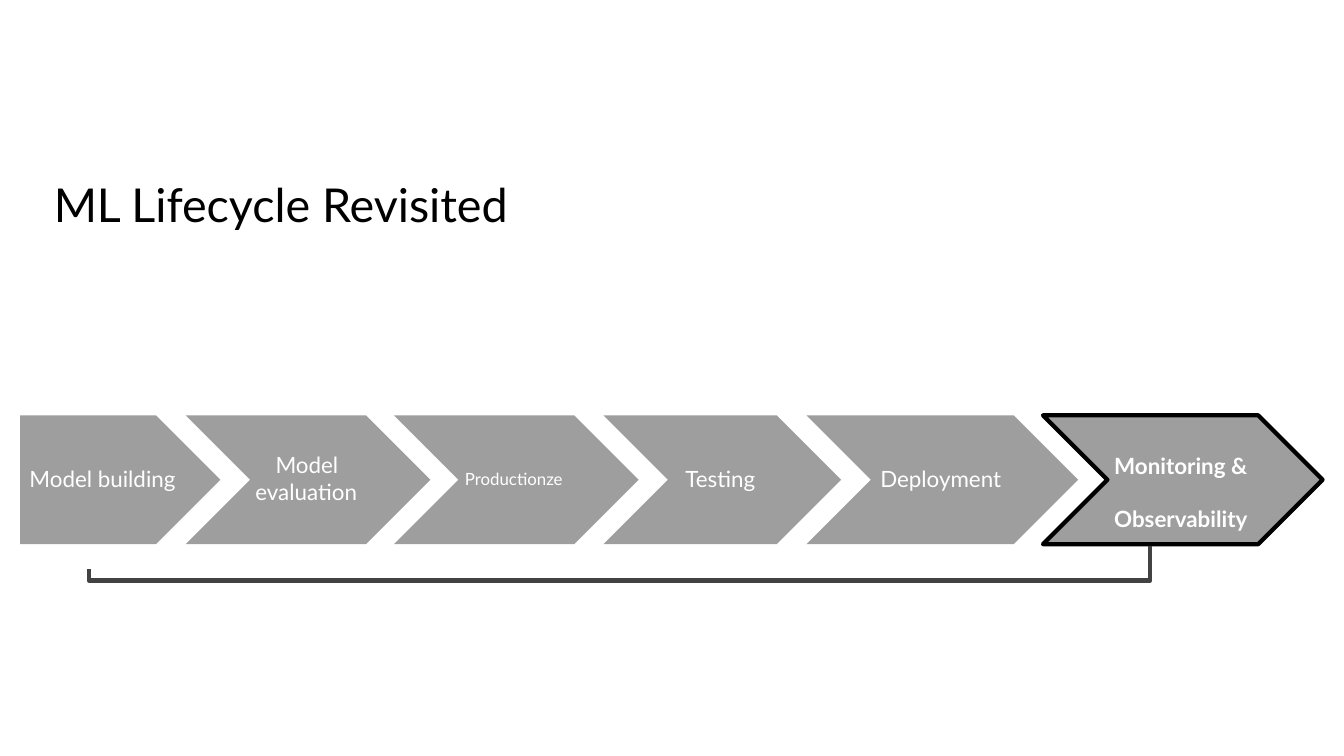
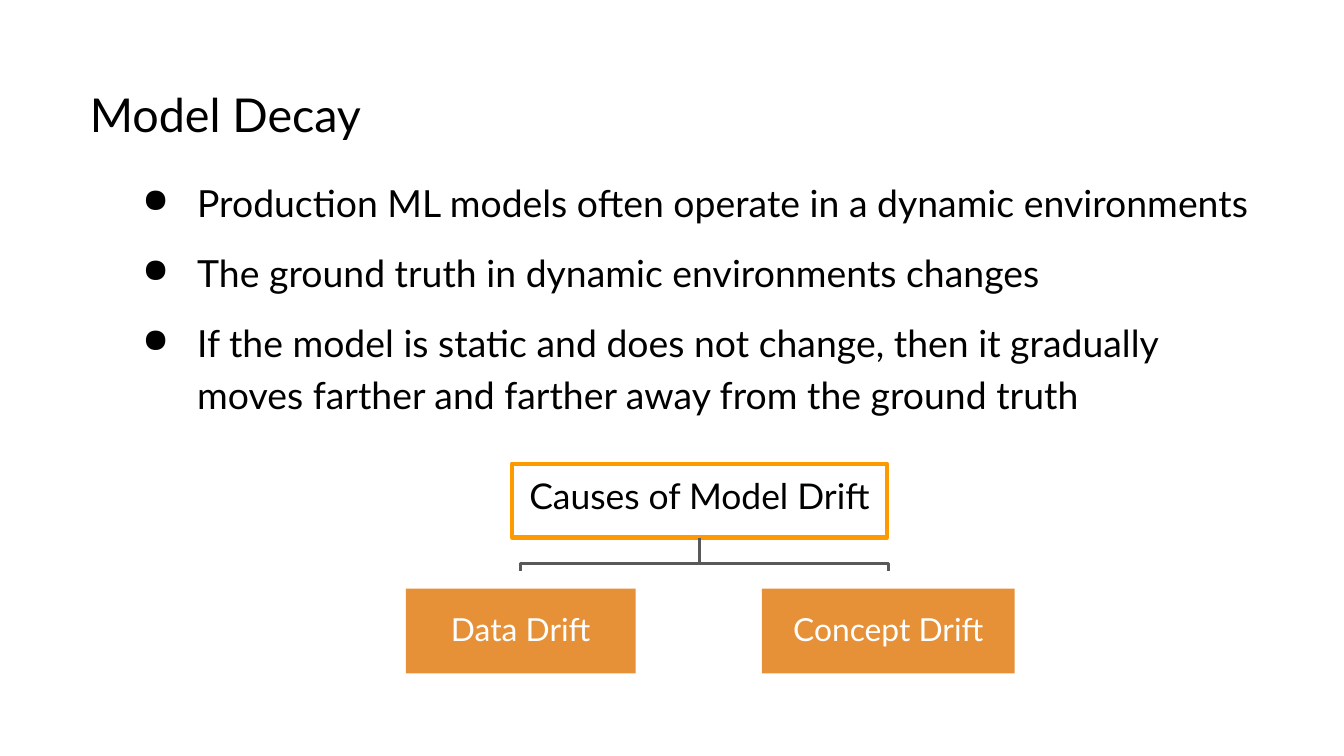
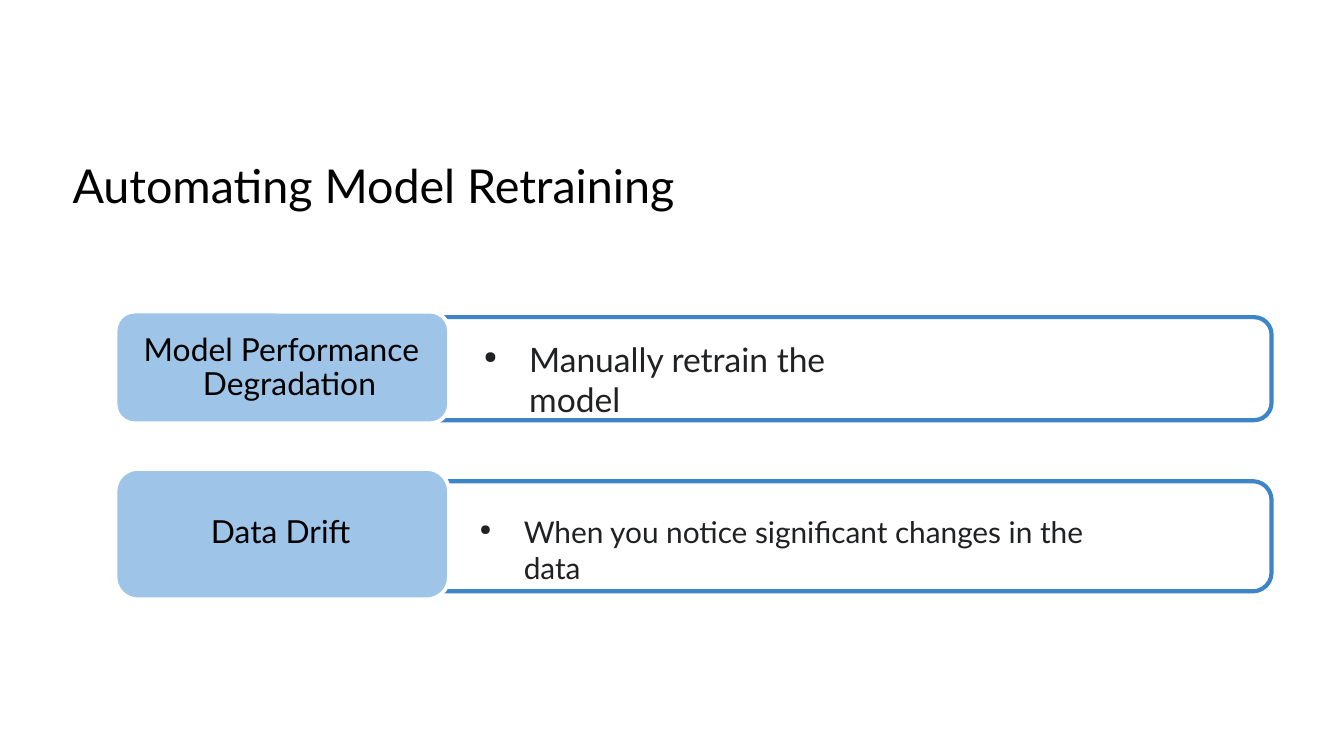
from dataclasses import dataclass

from lxml import etree
from pptx import Presentation
from pptx.dml.color import RGBColor
from pptx.enum.shapes import MSO_SHAPE
from pptx.enum.text import MSO_ANCHOR, PP_ALIGN
from pptx.oxml.ns import qn
from pptx.util import Pt

CHEVRON, PENTAGON = MSO_SHAPE.CHEVRON, MSO_SHAPE.PENTAGON
RECTANGLE, ROUNDED = MSO_SHAPE.RECTANGLE, MSO_SHAPE.ROUNDED_RECTANGLE
TOP, CENTER = MSO_ANCHOR.TOP, PP_ALIGN.CENTER


@dataclass(frozen=True)
class Theme:
    font: str = "Lato"
    black: str = "000000"
    white: str = "FFFFFF"
    ink: str = "1F2123"
    step: str = "9E9E9E"
    loop: str = "424242"
    branch: str = "595959"
    cause_edge: str = "FF9900"
    cause: str = "E69138"
    trigger: str = "9EC4E8"
    panel_edge: str = "3D85C6"
    title_size: float = 25
    body_size: float = 20
    root_size: float = 19
    label_size: float = 17
    step_size: float = 12
    small_size: float = 9
    edge: float = 2.25
    thin_edge: float = 1.5
    corner: float = 0.17


THEME = Theme()

# Boxes are (left, top, width, height) in points.
LIFECYCLE_TITLE = ("ML Lifecycle Revisited", (28.8, 92.9, 250, 32.4))
STEP_TOP, STEP_HEIGHT = 222.5, 69.1
STEPS = [  # shape, left, width, label, label box, label size
    (CHEVRON, 99.4, 131.2, ["Model evaluation"], (136.1, 241.2, 57, 31), THEME.step_size),
    (CHEVRON, 211, 131.2, ["Productionze"], (249.1, 250.6, 56, 13), THEME.small_size),
    (CHEVRON, 323.3, 127.4, ["Testing"], (367.2, 248.4, 41, 16.6), THEME.step_size),
    (PENTAGON, 10.8, 107.3, ["Model building"], (15.8, 248.4, 83, 16.6), THEME.step_size),
    (CHEVRON, 432, 145.5, ["Deployment"], (471.6, 248.4, 69, 16.6), THEME.step_size),
    (CHEVRON, 558.7, 149.8, ["Monitoring &", "Observability"], (596.9, 241.9, 78, 31),
     THEME.step_size),
]
STEP_LEADING = 14.2
FEEDBACK_LOOP = [(616.3, 292.3), (616.3, 311), (47.5, 311), (47.5, 304.6)]

DECAY_TITLE = ("Model Decay", (48.2, 44.6, 150, 32.4))
DECAY_BOX = (76.3, 82.1, 600, 142.6)
DECAY_POINTS = [  # text, space before, line spacing
    ("Production ML models often operate in a dynamic environments", 0, 1),
    ("The ground truth in dynamic environments changes", 13.6, 1),
    ("If the model is static and does not change, then it gradually moves farther "
     "and farther away from the ground truth", 10, 1.15),
]
ROOT = ("Causes of Model Drift", (274.3, 248.4, 200.9, 39.6))
CAUSES = [
    ("Data Drift", (217.4, 315.4, 123.1, 45.4)),
    ("Concept Drift", (408.2, 315.4, 135.4, 45.4)),
]
BRANCH_Y, BRANCH_END = 301.7, 306

RETRAIN_TITLE = ("Automating Model Retraining", (38.9, 82.8, 332, 32.4))
TRIGGERS = [
    {"label": "Model Performance Degradation", "label_box": (76.3, 175.7, 152, 40.3),
     "label_inset": 3.6, "indent": (32.4, -31.7), "leading": 18,
     "tile": (61.9, 167, 178.6, 59.8), "panel": (225.4, 169.9, 455.8, 55.2),
     "action": "Manually retrain the model", "action_box": (259.2, 180.7, 234, 23.8),
     "action_size": 18, "hang": 24.3},
    {"label": "Data Drift", "label_box": (112.3, 273.6, 80, 22.3),
     "label_inset": 0.7, "indent": (0.7, 0), "leading": None,
     "tile": (61.9, 251.3, 178.6, 69.8), "panel": (225.4, 257.8, 455.8, 59),
     "action": "When you notice signiﬁcant changes in the data",
     "action_box": (257, 274.3, 350, 20.9), "action_size": 16, "hang": 23.6},
]


def points(values):
    return [Pt(value) for value in values]


def write(shape, texts, size, color, inset=0.7):
    """Fill a shape with plain paragraphs and return them."""
    frame = shape.text_frame
    frame.word_wrap = True
    frame.vertical_anchor = TOP
    frame.margin_left = frame.margin_right = frame.margin_bottom = 0
    frame.margin_top = Pt(inset)
    frame.text = "\n".join(texts)
    for para in frame.paragraphs:
        for span in para.runs:
            span.font.name = THEME.font
            span.font.size = Pt(size)
            span.font.color.rgb = RGBColor.from_string(color)
    return frame.paragraphs


def add_text(page, box, texts, size, color, inset=0.7):
    return write(page.shapes.add_textbox(*points(box)), texts, size, color, inset)


def add_title(page, title):
    text, box = title
    add_text(page, box, [text], THEME.title_size, THEME.black, 1.4)


def paint(shape, fill=None, line=None, width=THEME.edge):
    shape.shadow.inherit = False
    if fill:
        shape.fill.solid()
        shape.fill.fore_color.rgb = RGBColor.from_string(fill)
    else:
        shape.fill.background()
    if line:
        shape.line.color.rgb = RGBColor.from_string(line)
        shape.line.width = Pt(width)
    else:
        shape.line.fill.background()


def add_block(page, kind, box, adjust=None, **colors):
    shape = page.shapes.add_shape(kind, *points(box))
    if adjust is not None:
        shape.adjustments[0] = adjust
    paint(shape, **colors)
    return shape


def add_path(page, corners, color, width):
    """Draw an open line through the corners."""
    start, *others = [points(corner) for corner in corners]
    builder = page.shapes.build_freeform(*start)
    builder.add_line_segments(others, close=False)
    paint(builder.convert_to_shape(), line=color, width=width)


def set_indent(para, left, first):
    properties = para._p.get_or_add_pPr()
    properties.set("marL", str(Pt(left)))
    properties.set("indent", str(Pt(first)))
    return properties


def add_bullet(para, hang, percent):
    properties = set_indent(para, hang, -hang)
    etree.SubElement(properties, qn("a:buSzPct")).set("val", str(percent * 1000))
    etree.SubElement(properties, qn("a:buChar")).set("char", "●")


def build_lifecycle(page):
    add_title(page, LIFECYCLE_TITLE)
    for kind, left, width, label, label_box, size in STEPS:
        current = len(label) > 1
        add_block(page, kind, (left, STEP_TOP, width, STEP_HEIGHT), 0.5,
                  fill=THEME.step, line=THEME.black if current else None)
        paras = add_text(page, label_box, label, size, THEME.white)
        if current:
            paras[1].space_before = Pt(STEP_LEADING)
            for para in paras:
                para.line_spacing = Pt(STEP_LEADING)
                para.runs[0].font.bold = True
        elif label == ["Model evaluation"]:
            set_indent(paras[0], 0.7, 10.8)
            paras[0].line_spacing = Pt(STEP_LEADING)
    add_path(page, FEEDBACK_LOOP, THEME.loop, THEME.edge)


def build_decay(page):
    add_title(page, DECAY_TITLE)
    texts = [text for text, _, _ in DECAY_POINTS]
    paras = add_text(page, DECAY_BOX, texts, THEME.body_size, THEME.black, 14.4)
    for para, (_, before, spacing) in zip(paras, DECAY_POINTS):
        para.line_spacing = spacing
        if before:
            para.space_before = Pt(before)
        add_bullet(para, 29.3, 90)

    text, box = ROOT
    root = add_block(page, RECTANGLE, box, line=THEME.cause_edge)
    write(root, [text], THEME.root_size, THEME.black, 5.8)[0].alignment = CENTER
    root_x, root_bottom = box[0] + box[2] / 2, box[1] + box[3]
    for text, box in CAUSES:
        cause = add_block(page, RECTANGLE, box, fill=THEME.cause)
        write(cause, [text], THEME.label_size, THEME.white, 11.5)[0].alignment = CENTER
        cause_x = box[0] + box[2] / 2
        add_path(page, [(root_x, root_bottom), (root_x, BRANCH_Y),
                        (cause_x, BRANCH_Y), (cause_x, BRANCH_END)],
                 THEME.branch, THEME.thin_edge)


def build_retraining(page):
    add_title(page, RETRAIN_TITLE)
    for trigger in TRIGGERS:
        add_block(page, ROUNDED, trigger["panel"], THEME.corner, line=THEME.panel_edge)
        action = add_text(page, trigger["action_box"], [trigger["action"]],
                          trigger["action_size"], THEME.ink)[0]
        add_bullet(action, trigger["hang"], 50)
        add_block(page, ROUNDED, trigger["tile"], THEME.corner,
                  fill=THEME.trigger, line=THEME.white, width=2)
        label = add_text(page, trigger["label_box"], [trigger["label"]],
                         THEME.label_size, THEME.black, trigger["label_inset"])[0]
        set_indent(label, *trigger["indent"])
        if trigger["leading"]:
            label.line_spacing = Pt(trigger["leading"])


def main():
    deck = Presentation()
    deck.slide_width, deck.slide_height = Pt(720), Pt(405)
    for build in (build_lifecycle, build_decay, build_retraining):
        build(deck.slides.add_slide(deck.slide_layouts[6]))
    deck.save("out.pptx")


if __name__ == "__main__":
    main()
